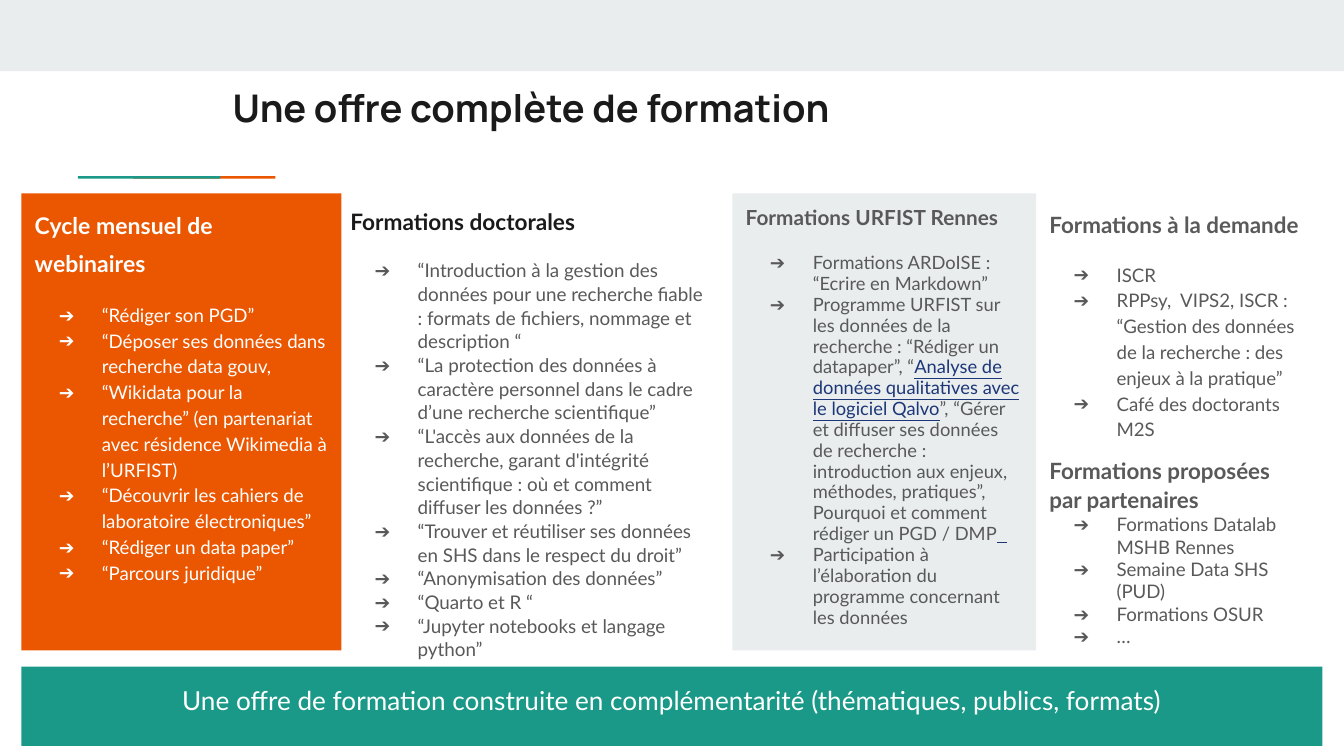
from lxml import etree
from pptx import Presentation
from pptx.dml.color import RGBColor
from pptx.enum import shapes, text
from pptx.oxml import ns
from pptx.util import Inches, Pt

ORANGE = RGBColor(0xEB, 0x56, 0x00)
TEAL = RGBColor(0x1A, 0x99, 0x88)
PALE = RGBColor(0xE9, 0xED, 0xEE)
INK = RGBColor(0x1A, 0x1A, 0x1A)
GREY = RGBColor(0x59, 0x59, 0x59)
NAVY = RGBColor(0x1C, 0x36, 0x78)
WHITE = RGBColor(0xFF, 0xFF, 0xFF)

COLUMN_TOP = 1.44

WEBINARS = [
    "“Rédiger son PGD”",
    "“Déposer ses données dans recherche data gouv,",
    "“Wikidata pour la recherche” (en partenariat avec résidence Wikimedia à l’URFIST)",
    "“Découvrir les cahiers de laboratoire électroniques”",
    "“Rédiger un data paper”",
    "“Parcours juridique”",
]
DOCTORAL = [
    "“Introduction à la gestion des données pour une recherche fiable : "
    "formats de fichiers, nommage et description “",
    "“La protection des données à caractère personnel dans le cadre d’une recherche scientifique”",
    "“L'accès aux données de la recherche, garant d'intégrité scientifique : "
    "où et comment diffuser les données ?”",
    "“Trouver et réutiliser ses données en SHS dans le respect du droit”",
    "“Anonymisation des données”",
    "“Quarto et R “",
    "“Jupyter notebooks et langage python”",
]
# A bullet given as a list holds (words, span font settings) pairs
URFIST = [
    "Formations ARDoISE : “Ecrire en Markdown”",
    [
        ("Programme URFIST sur les données de la recherche : “Rédiger un datapaper”, “", {}),
        ("Analyse de données qualitatives avec le logiciel Qalvo",
         {"color": NAVY, "underline": True}),
        ("”, “Gérer et diffuser ses données de recherche : introduction aux enjeux, "
         "méthodes, pratiques”, Pourquoi et comment rédiger un PGD / DMP", {}),
        ("  ", {"color": NAVY, "underline": True, "name": "Arial"}),
    ],
    "Participation à l’élaboration du programme concernant les données",
]
ON_DEMAND = [
    "ISCR",
    "RPPsy,  VIPS2, ISCR : “Gestion des données de la recherche : des enjeux à la pratique”",
    "Café des doctorants M2S",
]
PARTNERS = [
    "Formations Datalab MSHB Rennes",
    "Semaine Data SHS (PUD)",
    "Formations OSUR",
    "…",
]


def style(font, size=None, color=None, bold=None, underline=None, name=None):
    """Apply only the settings that are given."""
    if size:
        font.size = Pt(size)
    if color is not None:
        font.color.rgb = color
    if bold is not None:
        font.bold = bold
    if underline is not None:
        font.underline = underline
    if name:
        font.name = name


def prepare_frame(frame):
    frame.word_wrap = True
    frame.auto_size = text.MSO_AUTO_SIZE.NONE
    frame.vertical_anchor = text.MSO_ANCHOR.TOP
    frame.margin_left = frame.margin_right = Inches(0.1)
    frame.margin_top = frame.margin_bottom = Inches(0.1)


def add_bar(slide, left, top, width, height, fill):
    bar = slide.shapes.add_shape(
        shapes.MSO_SHAPE.RECTANGLE,
        Inches(left), Inches(top), Inches(width), Inches(height))
    bar.shadow.inherit = False
    bar.fill.solid()
    bar.fill.fore_color.rgb = fill
    bar.line.fill.background()
    return bar


def add_arrow_bullet(para, color):
    props = para._p.get_or_add_pPr()
    props.set("marL", str(Inches(0.5)))
    props.set("indent", str(Inches(-0.32)))
    bullet_color = etree.SubElement(props, ns.qn("a:buClr"))
    etree.SubElement(bullet_color, ns.qn("a:srgbClr"), val=str(color))
    etree.SubElement(props, ns.qn("a:buFont"), typeface="Lato")
    etree.SubElement(props, ns.qn("a:buChar"), char="➔")


def add_column(slide, left, top, width, height, heading, bullets, heading_size, size,
               spacing, color=GREY, heading_color=None, fill=None, gap=12, tail_size=None):
    """A heading over arrow bullets, on a coloured panel if fill is given."""
    if fill is None:
        box = slide.shapes.add_textbox(
            Inches(left), Inches(top), Inches(width), Inches(height))
    else:
        box = add_bar(slide, left, top, width, height, fill)
    frame = box.text_frame
    prepare_frame(frame)

    para = frame.paragraphs[0]
    para.alignment = text.PP_ALIGN.LEFT
    para.line_spacing = spacing
    style(para.font, heading_size, heading_color or color, True, name="Lato")
    para.add_run().text = heading
    if tail_size:  # a larger closing space opens up the last heading line
        span = para.add_run()
        span.text = " "
        style(span.font, tail_size)

    for index, bullet in enumerate(bullets):
        para = frame.add_paragraph()
        para.alignment = text.PP_ALIGN.LEFT
        para.line_spacing = spacing
        para.space_before = Pt(0 if index else gap)
        add_arrow_bullet(para, color)
        style(para.font, size, color, False, name="Lato")
        for words, settings in [(bullet, {})] if isinstance(bullet, str) else bullet:
            span = para.add_run()
            span.text = words
            style(span.font, **settings)


def add_title(slide, words):
    title = slide.shapes.title
    title.left, title.top = Inches(1.63), Inches(0.53)
    title.width, title.height = Inches(8.41), Inches(0.59)
    prepare_frame(title.text_frame)
    para = title.text_frame.paragraphs[0]
    para.text = words
    para.alignment = text.PP_ALIGN.LEFT
    style(para.font, 20.4, INK, True, name="Manrope")


def add_banner(slide, words):
    banner = add_bar(slide, 0.16, 4.96, 9.68, 0.59, TEAL)
    prepare_frame(banner.text_frame)
    para = banner.text_frame.paragraphs[0]
    para.text = words
    para.alignment = text.PP_ALIGN.CENTER
    para.line_spacing = 1.15
    style(para.font, 14, WHITE, name="Lato")


def main():
    # Widescreen 16:9 page
    deck = Presentation()
    deck.slide_width = Inches(10)
    deck.slide_height = Inches(10) * 9 // 16
    slide = deck.slides.add_slide(deck.slide_layouts[5])

    # Top band and two-colour accent line
    add_bar(slide, 0, 0, 10, 0.53, PALE)
    add_bar(slide, 0.99, 1.31, 1.06, 0.02, ORANGE)
    add_bar(slide, 0.58, 1.31, 1.06, 0.02, TEAL)
    add_title(slide, "Une offre complète de formation")

    # Training columns
    add_column(slide, 0.16, COLUMN_TOP, 2.38, 3.4, "Cycle mensuel de webinaires", WEBINARS,
               12.3, 10, 1.15, color=WHITE, fill=ORANGE, tail_size=15.3)
    add_column(slide, 2.51, COLUMN_TOP, 2.83, 3.73, "Formations doctorales", DOCTORAL,
               12.1, 10.1, 1.05, heading_color=INK)
    add_column(slide, 5.45, COLUMN_TOP, 2.26, 3.4, "Formations URFIST Rennes", URFIST,
               11.1, 9.8, 0.95, fill=PALE)
    add_column(slide, 7.71, COLUMN_TOP, 2.12, 2.04, "Formations à la demande", ON_DEMAND,
               12, 10, 1.15)
    add_column(slide, 7.71, 3.3, 2, 1.54, "Formations proposées par partenaires", PARTNERS,
               12, 10, 1.0, gap=0, tail_size=13)

    # Closing statement
    add_banner(slide, "Une offre de formation construite en complémentarité "
                      "(thématiques, publics, formats)")
    deck.save("out.pptx")


if __name__ == "__main__":
    main()
